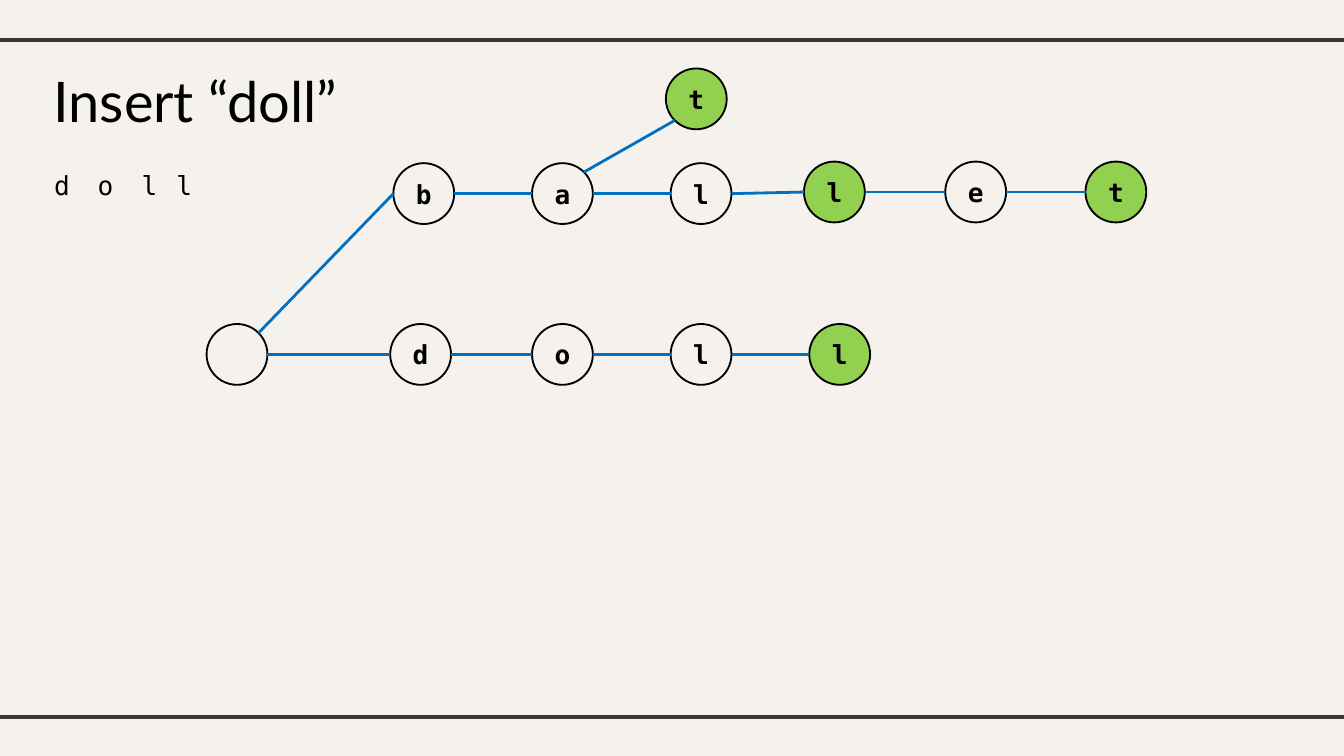
import math
from typing import NamedTuple

import lxml.etree
import pptx
import pptx.dml.color
import pptx.enum.shapes
import pptx.enum.text
import pptx.oxml.ns
import pptx.util

Cm = pptx.util.Cm
Pt = pptx.util.Pt
RGBColor = pptx.dml.color.RGBColor
qn = pptx.oxml.ns.qn

PAPER = RGBColor(0xF5, 0xF2, 0xEE)
RULE = RGBColor(0x3F, 0x35, 0x33)
BLACK = RGBColor(0x00, 0x00, 0x00)
BLUE = RGBColor(0x00, 0x70, 0xC0)
GREEN = RGBColor(0x92, 0xD0, 0x50)

MONO = "DejaVu Sans Mono"
DIAMETER = 1.15
# Connection sites of an ellipse: direction from its centre
SITES = {2: (-1, 0), 3: (-math.sqrt(0.5), math.sqrt(0.5)),
         6: (1, 0), 7: (math.sqrt(0.5), -math.sqrt(0.5))}
LEFT, BOTTOM_LEFT, RIGHT, TOP_RIGHT = SITES


class Node(NamedTuple):
    letter: str
    x: float  # centre, in centimetres
    y: float
    ends_word: bool = False


class Edge(NamedTuple):
    start: str
    end: str
    start_site: int = RIGHT
    end_site: int = LEFT


# The trie, keyed by prefix
NODES = {
    "": Node("", 4.48, 6.70),
    "b": Node("b", 8.01, 3.66),
    "ba": Node("a", 10.63, 3.66),
    "bat": Node("t", 13.16, 1.87, True),
    "bal": Node("l", 13.25, 3.66),
    "ball": Node("l", 15.77, 3.63, True),
    "balle": Node("e", 18.44, 3.63),
    "ballet": Node("t", 21.09, 3.63, True),
    "d": Node("d", 7.95, 6.70),
    "do": Node("o", 10.63, 6.70),
    "dol": Node("l", 13.25, 6.70),
    "doll": Node("l", 15.87, 6.70, True),
}
SLANTED = {
    "b": Edge("", "b", TOP_RIGHT, LEFT),
    "bat": Edge("ba", "bat", TOP_RIGHT, BOTTOM_LEFT),
}
EDGES = [SLANTED.get(prefix, Edge(prefix[:-1], prefix)) for prefix in NODES if prefix]


def write(shape, text: str, font_name: str, size: float, inset: float = 0,
          bold: bool = False, centred: bool = True) -> None:
    frame = shape.text_frame
    frame.word_wrap = True
    frame.margin_left = frame.margin_right = Cm(inset)
    paragraph = frame.paragraphs[0]
    align = pptx.enum.text.PP_ALIGN
    paragraph.alignment = align.CENTER if centred else align.LEFT
    run = paragraph.add_run()
    run.text = text
    run.font.name = font_name
    run.font.size = Pt(size)
    run.font.bold = bold
    run.font.color.rgb = BLACK


def draw_line(slide, start: tuple, end: tuple, color: RGBColor, width: float):
    connector = slide.shapes.add_connector(
        pptx.enum.shapes.MSO_CONNECTOR.STRAIGHT,
        Cm(start[0]), Cm(start[1]), Cm(end[0]), Cm(end[1]))
    connector.line.color.rgb = color
    connector.line.width = Pt(width)
    lxml.etree.SubElement(connector._element.spPr, qn("a:effectLst"))
    return connector


def draw_node(slide, node: Node):
    shape = slide.shapes.add_shape(
        pptx.enum.shapes.MSO_SHAPE.OVAL,
        Cm(node.x - DIAMETER / 2), Cm(node.y - DIAMETER / 2), Cm(DIAMETER), Cm(DIAMETER))
    shape.shadow.inherit = False
    shape.fill.solid()
    shape.fill.fore_color.rgb = GREEN if node.ends_word else PAPER
    shape.line.color.rgb = BLACK
    shape.line.width = Pt(1)
    if node.letter:
        shape.text_frame.vertical_anchor = pptx.enum.text.MSO_ANCHOR.MIDDLE
        write(shape, node.letter, MONO, 14, bold=True)
    return shape


def site_point(node: Node, site: int) -> tuple:
    across, down = SITES[site]
    return node.x + across * DIAMETER / 2, node.y + down * DIAMETER / 2


def draw_edge(slide, edge: Edge, circles: dict) -> None:
    connector = draw_line(slide, site_point(NODES[edge.start], edge.start_site),
                          site_point(NODES[edge.end], edge.end_site), BLUE, 1.5)
    # begin_connect knows only four sites; an ellipse has eight
    joints = connector._element.find(".//" + qn("p:cNvCxnSpPr"))
    for tag, prefix, site in (("a:stCxn", edge.start, edge.start_site),
                              ("a:endCxn", edge.end, edge.end_site)):
        lxml.etree.SubElement(joints, qn(tag), id=str(circles[prefix].shape_id), idx=str(site))


def main() -> None:
    presentation = pptx.Presentation()
    presentation.slide_width = Cm(25.4)
    presentation.slide_height = Cm(14.29)
    slide = presentation.slides.add_slide(presentation.slide_layouts[6])
    slide.background.fill.solid()
    slide.background.fill.fore_color.rgb = PAPER

    # Rules at top and bottom
    for y in (0.76, 13.55):
        draw_line(slide, (-0.2, y), (25.6, y), RULE, 2.25)

    # Title
    title = slide.shapes.add_textbox(Cm(0.76), Cm(1), Cm(7.82), Cm(1.8))
    title.text_frame.margin_top = title.text_frame.margin_bottom = Cm(0.25)
    write(title, "Insert “doll”", "Lato", 30, inset=0.25, centred=False)

    # Letters of the inserted word
    for letter, left in zip("doll", (0.76, 1.58, 2.41, 3.07)):
        box = slide.shapes.add_textbox(Cm(left), Cm(3.07), Cm(0.83), Cm(0.86))
        write(box, letter, MONO, 14)

    # Trie
    circles = {prefix: draw_node(slide, node) for prefix, node in NODES.items()}
    for edge in EDGES:
        draw_edge(slide, edge, circles)

    presentation.save("out.pptx")


if __name__ == "__main__":
    main()
